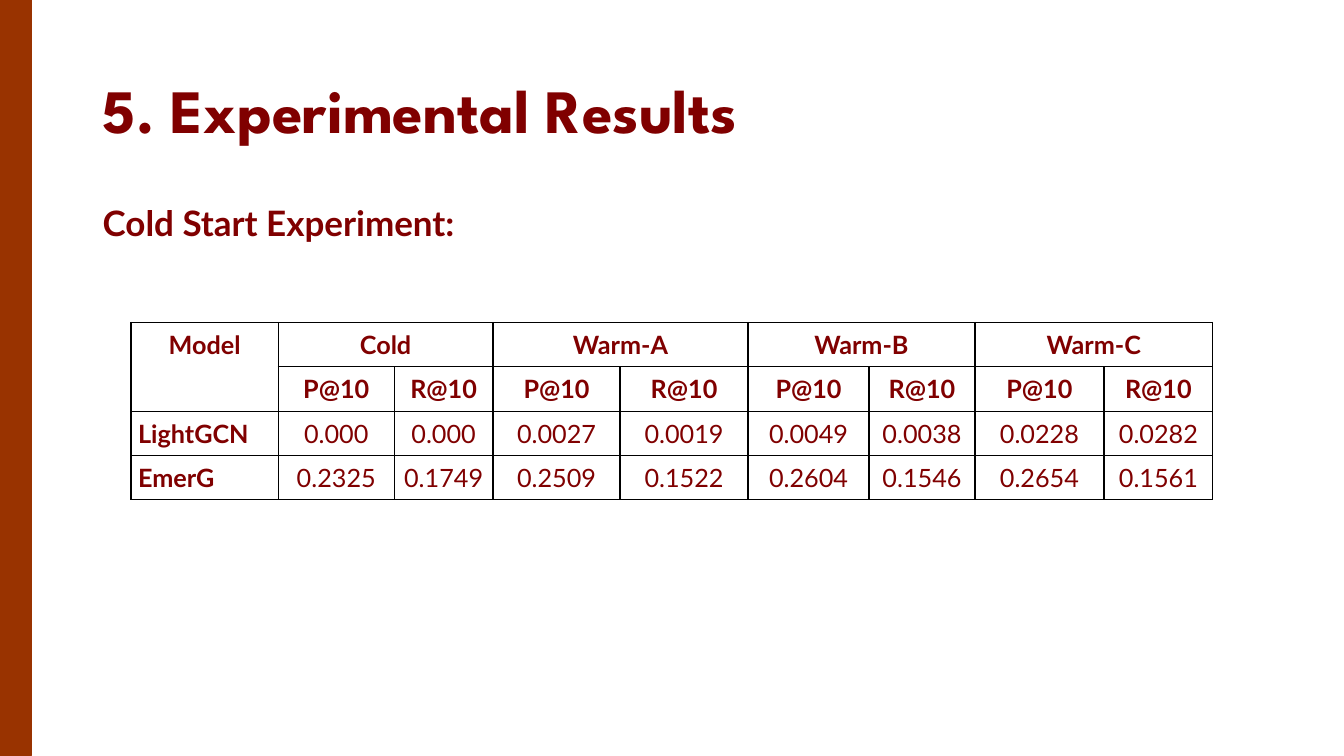
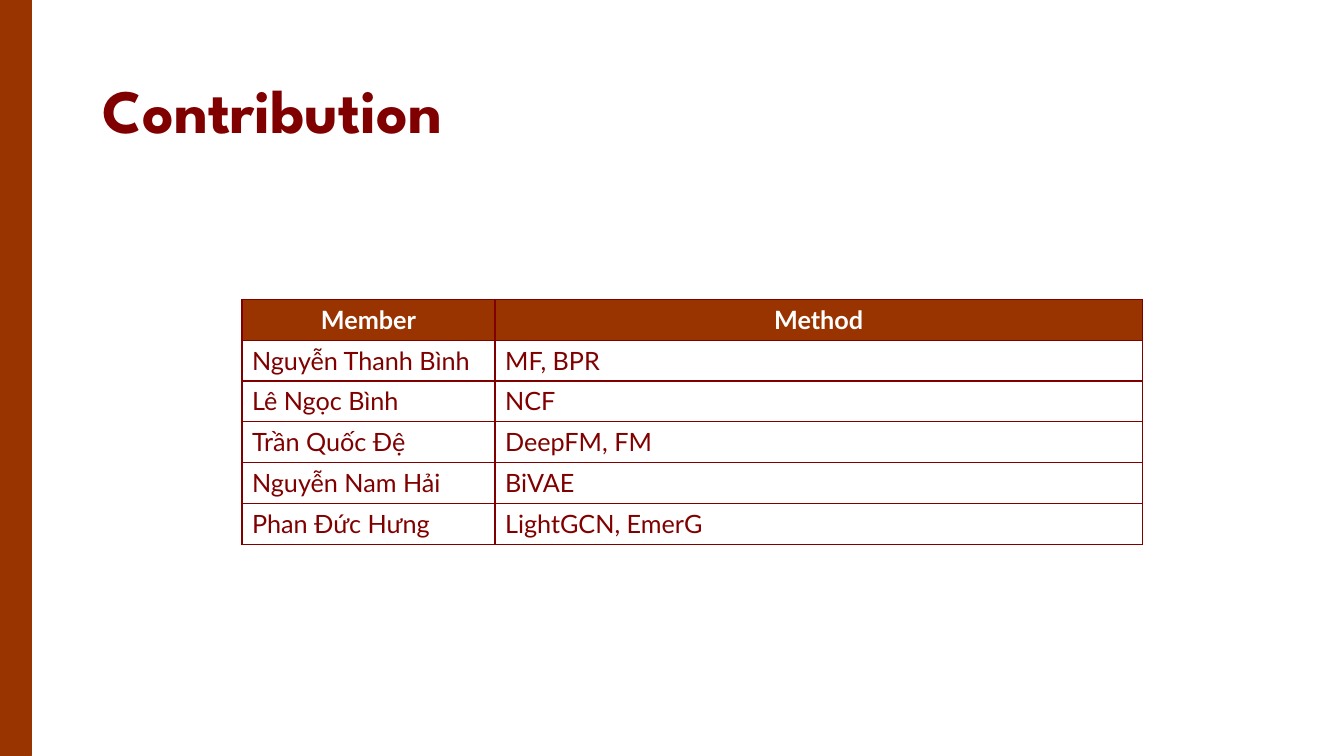
from pptx import Presentation
from pptx.dml.color import RGBColor
from pptx.enum.shapes import MSO_SHAPE
from pptx.enum.text import MSO_ANCHOR, MSO_AUTO_SIZE, PP_ALIGN
from pptx.oxml import parse_xml
from pptx.oxml.ns import nsdecls
from pptx.util import Inches, Pt

RUST = "993300"
MAROON = "800000"
WHITE = "FFFFFF"
BLACK = "000000"
TITLE_FONT = "League Spartan"
BODY_FONT = "Lato"
SLIDE_WIDTH, SLIDE_HEIGHT = 13.33, 7.5
TEXT_LEFT, TEXT_WIDTH = 0.92, 11.5
TITLE_ONLY = 5

STAGES = ["Cold", "Warm-A", "Warm-B", "Warm-C"]
METRICS = ["P@10", "R@10"]
SCORES = [
    ["LightGCN", "0.000", "0.000", "0.0027", "0.0019", "0.0049", "0.0038", "0.0228", "0.0282"],
    ["EmerG", "0.2325", "0.1749", "0.2509", "0.1522", "0.2604", "0.1546", "0.2654", "0.1561"],
]
SCORE_COLUMNS = [1.46, 1.15, 0.98, 1.26, 1.27, 1.2, 1.05, 1.28, 1.08]
CONTRIBUTIONS = [
    ["Member", "Method"],
    ["Nguyễn Thanh Bình", "MF, BPR"],
    ["Lê Ngọc Bình", "NCF"],
    ["Trần Quốc Đệ", "DeepFM, FM"],
    ["Nguyễn Nam Hải", "BiVAE"],
    ["Phan Đức Hưng", "LightGCN, EmerG"],
]


def paint(color_format, color):
    color_format.rgb = RGBColor.from_string(color)


def paint_fill(fill, color):
    fill.solid()
    paint(fill.fore_color, color)


def write(paragraph, text, size, color=MAROON, bold=False, font=BODY_FONT, align=PP_ALIGN.LEFT):
    paragraph.alignment = align
    run = paragraph.add_run()
    run.text = text
    run.font.name = font
    run.font.size = Pt(size)
    run.font.bold = bold
    paint(run.font.color, color)


def add_band(slide):
    band = slide.shapes.add_shape(
        MSO_SHAPE.RECTANGLE, 0, 0, Inches(0.3), Inches(SLIDE_HEIGHT))
    band.shadow.inherit = False
    paint_fill(band.fill, RUST)
    paint(band.line.color, RUST)
    band.line.width = Pt(2.25)


def format_title(title, text):
    title.left, title.top = Inches(TEXT_LEFT), Inches(0.4)
    title.width, title.height = Inches(TEXT_WIDTH), Inches(1.45)
    frame = title.text_frame
    frame.auto_size = MSO_AUTO_SIZE.NONE
    frame.vertical_anchor = MSO_ANCHOR.MIDDLE
    paragraph = frame.paragraphs[0]
    paragraph.line_spacing = 0.9
    write(paragraph, text, 44, bold=True, font=TITLE_FONT)


def add_titled_slide(presentation, title):
    slide = presentation.slides.add_slide(presentation.slide_layouts[TITLE_ONLY])
    add_band(slide)
    format_title(slide.shapes.title, title)
    return slide


def add_subheading(slide, text):
    box = slide.shapes.add_textbox(
        Inches(TEXT_LEFT), Inches(2), Inches(TEXT_WIDTH), Inches(0.6))
    box.text_frame.word_wrap = True
    paragraph = box.text_frame.paragraphs[0]
    paragraph.line_spacing = 0.9
    write(paragraph, text, 25, bold=True)


def set_borders(cell, color):
    properties = cell._tc.get_or_add_tcPr()
    for side in ("lnL", "lnR", "lnT", "lnB"):
        properties.append(parse_xml(
            f'<a:{side} {nsdecls("a")} w="{Pt(1)}"><a:solidFill>'
            f'<a:srgbClr val="{color}"/></a:solidFill></a:{side}>'))


def add_plain_table(slide, left, top, columns, row_count, row_height, border):
    table = slide.shapes.add_table(
        row_count, len(columns), Inches(left), Inches(top),
        Inches(sum(columns)), Inches(row_count * row_height)).table
    table.first_row = table.horz_banding = False
    for column, width in zip(table.columns, columns):
        column.width = Inches(width)
    for row in table.rows:
        row.height = Inches(row_height)
    for cell in table.iter_cells():
        set_borders(cell, border)
        paint_fill(cell.fill, WHITE)
    return table


def write_cell(cell, text, **style):
    write(cell.text_frame.paragraphs[0], text, 18, **style)


def add_score_table(slide):
    table = add_plain_table(slide, 1.3, 3.2, SCORE_COLUMNS, 2 + len(SCORES), 0.44, BLACK)
    for cell in table.iter_cells():
        cell.margin_left = cell.margin_right = Inches(0.07)
        cell.margin_top = cell.margin_bottom = Inches(0.07)

    header = {"bold": True, "align": PP_ALIGN.CENTER}
    table.cell(0, 0).merge(table.cell(1, 0))
    write_cell(table.cell(0, 0), "Model", **header)
    for index, stage in enumerate(STAGES):
        first = 1 + index * len(METRICS)
        table.cell(0, first).merge(table.cell(0, first + len(METRICS) - 1))
        write_cell(table.cell(0, first), stage, **header)
        for offset, metric in enumerate(METRICS):
            write_cell(table.cell(1, first + offset), metric, **header)

    for row, (model, *values) in enumerate(SCORES, start=2):
        write_cell(table.cell(row, 0), model, bold=True)
        for column, value in enumerate(values, start=1):
            write_cell(table.cell(row, column), value, align=PP_ALIGN.CENTER)


def add_contribution_table(slide):
    table = add_plain_table(slide, 2.4, 2.97, [2.51, 6.42], len(CONTRIBUTIONS), 0.405, MAROON)
    for row, texts in enumerate(CONTRIBUTIONS):
        for column, text in enumerate(texts):
            cell = table.cell(row, column)
            if row == 0:
                paint_fill(cell.fill, RUST)
                write_cell(cell, text, color=WHITE, bold=True, align=PP_ALIGN.CENTER)
            else:
                write_cell(cell, text)


def main():
    presentation = Presentation()
    presentation.slide_width = Inches(SLIDE_WIDTH)
    presentation.slide_height = Inches(SLIDE_HEIGHT)

    results = add_titled_slide(presentation, "5. Experimental Results")
    add_subheading(results, "Cold Start Experiment:")
    add_score_table(results)

    contribution = add_titled_slide(presentation, "Contribution")
    add_contribution_table(contribution)

    presentation.save("out.pptx")


if __name__ == "__main__":
    main()
